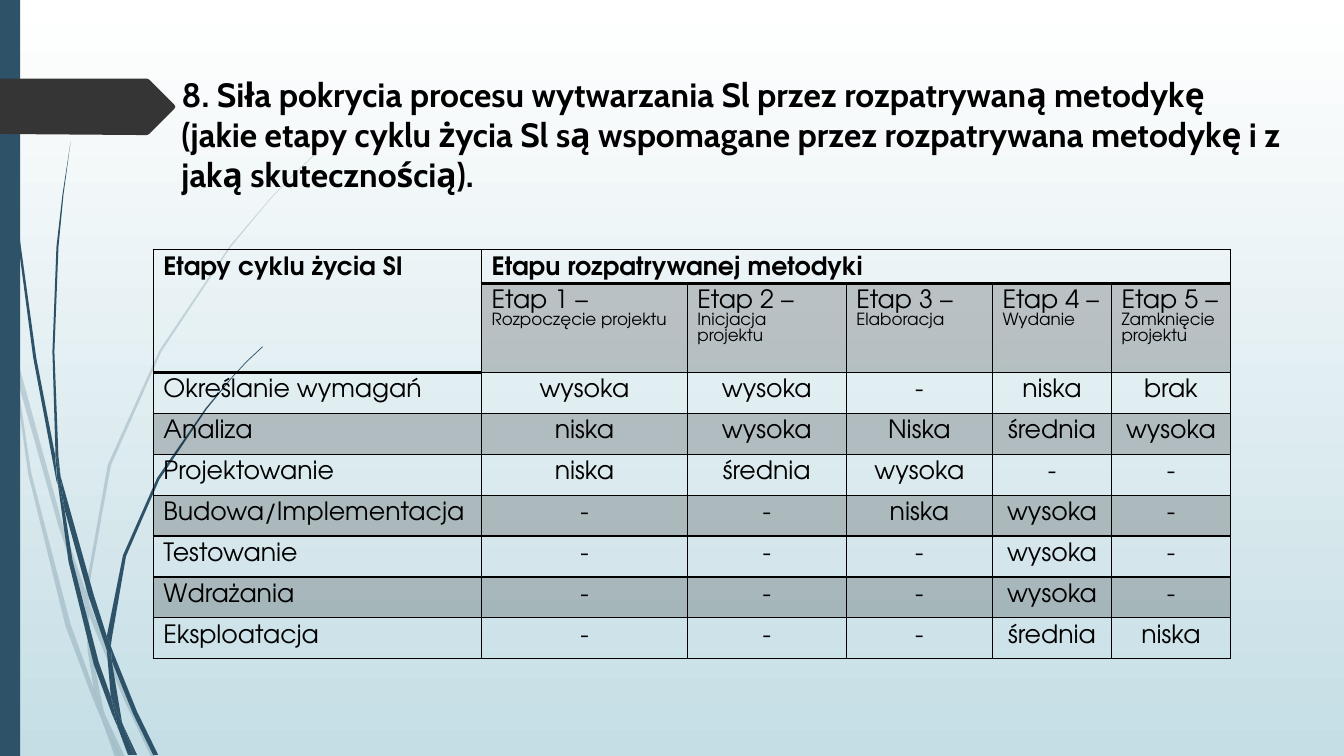
from lxml import etree
from pptx import Presentation
from pptx.dml.color import RGBColor
from pptx.enum import shapes, text
from pptx.oxml import ns
from pptx.util import Pt

BLACK = RGBColor(0x00, 0x00, 0x00)
WHITE = RGBColor(0xFF, 0xFF, 0xFF)
PALE_BLUE = RGBColor(0xC5, 0xDE, 0xE5)
NAVY = RGBColor(0x2E, 0x53, 0x69)
CHARCOAL = RGBColor(0x35, 0x35, 0x35)
TITLE_FONT, TABLE_FONT = "Cabin", "TeX Gyre Adventor"
UNIT = Pt(0.72)  # one step of the outline coordinates below

TITLE = ("8. Siła pokrycia procesu wytwarzania Sl przez rozpatrywaną metodykę "
         "(jakie etapy cyklu życia Sl są wspomagane przez rozpatrywana metodykę "
         "i z jaką skutecznością).")
STAGES = ["Rozpoczęcie projektu", "Inicjacja projektu", "Elaboracja", "Wydanie",
          "Zamknięcie projektu"]
COVERAGE = [
    ["Określanie wymagań", "wysoka", "wysoka", "-", "niska", "brak"],
    ["Analiza", "niska", "wysoka", "Niska", "średnia", "wysoka"],
    ["Projektowanie", "niska", "średnia", "wysoka", "-", "-"],
    ["Budowa/Implementacja", "-", "-", "niska", "wysoka", "-"],
    ["Testowanie", "-", "-", "-", "wysoka", "-"],
    ["Wdrażania", "-", "-", "-", "wysoka", "-"],
    ["Eksploatacja", "-", "-", "-", "średnia", "niska"],
]
COLUMN_WIDTHS = [234.5, 147, 113.5, 104.5, 85, 85]
ROW_HEIGHTS = [24, 63.5] + [29.25] * len(COVERAGE)

PALE_GRASS = [
    [(11, 350), (9, 322), (0, 282), (0, 299), (10, 344)],
    [(58, 522), (84, 599), (85, 586), (62, 520), (14, 345), (17, 376)],
    [(92, 607), (88, 596), (88, 610), (123, 694), (150, 751), (155, 751), (127, 692)],
    [(119, 751), (124, 751), (105, 711)],
    [(93, 683), (70, 619), (31, 469), (17, 376), (11, 350), (28, 470), (65, 621),
     (92, 693), (101, 714), (99, 707)],
    [(84, 599), (87, 646), (93, 683), (96, 692), (105, 711), (103, 706), (91, 646),
     (88, 610), (88, 608)],
    [(88, 584), (110, 462), (160, 349), (229, 245), (268, 198), (290, 175), (312, 154),
     (312, 153), (289, 175), (268, 197), (228, 244), (158, 348), (107, 461), (85, 584),
     (85, 586), (88, 596)],
    [(101, 714), (114, 751), (119, 751)],
    [(88, 608), (88, 610), (88, 596), (85, 586), (84, 599)],
    [(96, 692), (93, 683), (99, 707), (101, 714), (119, 751), (105, 711)],
]
DARK_GRASS = [
    [(7, 110), (17, 233), (33, 355), (56, 477), (57, 481), (55, 457), (55, 453),
     (36, 355), (19, 232), (8, 109), (5, 48), (4, 0), (3, 0), (4, 48)],
    [(88, 592), (106, 645), (106, 633), (106, 631), (93, 590), (60, 472), (64, 505)],
    [(113, 649), (110, 641), (111, 656), (132, 708), (152, 749), (157, 749), (136, 706)],
    [(110, 691), (98, 657), (72, 556), (64, 505), (57, 477), (68, 557), (93, 659),
     (111, 708), (117, 722), (116, 717)],
    [(60, 472), (58, 453), (54, 349), (58, 245), (63, 193), (70, 141), (62, 193),
     (56, 245), (52, 349), (55, 449)],
    [(133, 749), (136, 749), (122, 719)],
    [(57, 477), (64, 505), (60, 472), (55, 449), (55, 453)],
    [(111, 633), (125, 552), (158, 476), (205, 406), (231, 374), (245, 359), (261, 344),
     (260, 344), (245, 358), (231, 373), (204, 405), (156, 474), (122, 551), (106, 631),
     (110, 641)],
    [(117, 722), (127, 749), (131, 749)],
    [(106, 645), (110, 691), (116, 706), (122, 719), (121, 716), (111, 656), (109, 651)],
    [(106, 645), (109, 651), (111, 656), (110, 641), (106, 631), (106, 633)],
    [(116, 706), (110, 691), (116, 717), (117, 722), (130, 749), (133, 749), (122, 719)],
]
TITLE_MARKER = [(173, 108), (148, 133), (146, 134), (136, 134), (0, 133), (0, 78),
                (146, 78), (148, 79), (173, 104), (174, 106)]


def set_all(target, values):
    for name, value in values.items():
        setattr(target, name, value)


def paint(fill, color, opacity=100):
    fill.solid()
    fill.fore_color.rgb = color
    return opacity


def set_opacity(element, percent):
    color = next(element.iter(ns.qn("a:srgbClr")))
    etree.SubElement(color, ns.qn("a:alpha"), val=str(percent * 1000))


def format_shape(shape, color, opacity=100):
    paint(shape.fill, color)
    if opacity < 100:
        set_opacity(shape.element, opacity)
    shape.line.fill.background()
    shape.shadow.inherit = False


def add_outline(container, points, color, opacity=100):
    builder = container.build_freeform(*points[0], scale=UNIT)
    builder.add_line_segments(points[1:], close=True)
    format_shape(builder.convert_to_shape(), color, opacity)


def add_grass(slide, blades, opacity):
    group = slide.shapes.add_group_shape()
    for blade in blades:
        add_outline(group.shapes, blade, NAVY, opacity)


def set_background(slide):
    fill = slide.background.fill
    fill.gradient()
    fill.gradient_angle = 270
    for stop, color in zip(fill.gradient_stops, (WHITE, PALE_BLUE)):
        stop.color.rgb = color


def add_run(paragraph, wording, font, size, bold=False):
    run = paragraph.add_run()
    run.text = wording
    set_all(run.font, {"name": font, "size": Pt(size), "bold": bold})
    run.font.color.rgb = BLACK


def place_title(slide):
    title = slide.shapes.title
    set_all(title, {"left": Pt(122.4), "top": Pt(49), "width": Pt(804.5),
                    "height": Pt(101)})
    set_all(title.text_frame, {"word_wrap": True, "auto_size": text.MSO_AUTO_SIZE.NONE,
                               "vertical_anchor": text.MSO_ANCHOR.TOP})
    paragraph = title.text_frame.paragraphs[0]
    paragraph.alignment = text.PP_ALIGN.LEFT
    add_run(paragraph, TITLE, TITLE_FONT, 24, bold=True)
    title.element.getparent().append(title.element)  # bring in front of the grass


def format_cell(cell, shaded, bottom_width):
    if shaded:
        paint(cell.fill, BLACK)
    else:
        cell.fill.background()
    properties = cell._tc.get_or_add_tcPr()
    if shaded:
        set_opacity(properties, 20)
    for index, side in enumerate("LRTB"):
        width = bottom_width if side == "B" else 1
        line = etree.Element(ns.qn(f"a:ln{side}"), w=str(Pt(width)))
        fill = etree.SubElement(line, ns.qn("a:solidFill"))
        etree.SubElement(fill, ns.qn("a:srgbClr"), val=str(BLACK))
        properties.insert(index, line)


def write_cell(cell, runs, centered=False, bold=False, line_height=18, top=3.6):
    """Write (wording, size) runs with a fixed line height."""
    set_all(cell, {"margin_top": Pt(top), "margin_bottom": Pt(0),
                   "vertical_anchor": text.MSO_ANCHOR.TOP})
    paragraph = cell.text_frame.paragraphs[0]
    paragraph.line_spacing = Pt(line_height)
    paragraph.alignment = text.PP_ALIGN.CENTER if centered else text.PP_ALIGN.LEFT
    for wording, size in runs:
        add_run(paragraph, wording, TABLE_FONT, size, bold)


def add_coverage_table(slide):
    frame = slide.shapes.add_table(
        len(ROW_HEIGHTS), len(COLUMN_WIDTHS), Pt(109.5), Pt(178.5),
        Pt(sum(COLUMN_WIDTHS)), Pt(sum(ROW_HEIGHTS)))
    table = frame.table
    set_all(table, {"first_row": False, "horz_banding": False})
    for column, width in zip(table.columns, COLUMN_WIDTHS):
        column.width = Pt(width)
    for row_index, (row, height) in enumerate(zip(table.rows, ROW_HEIGHTS)):
        row.height = Pt(height)
        for column_index, cell in enumerate(row.cells):
            shaded = row_index % 2 == 1 and (row_index, column_index) != (1, 0)
            thick = row_index == 0 or (row_index, column_index) == (1, 0)
            format_cell(cell, shaded, 2 if thick else 1)

    table.cell(0, 0).merge(table.cell(1, 0))
    table.cell(0, 1).merge(table.cell(0, len(STAGES)))
    write_cell(table.cell(0, 0), [("Etapy cyklu życia SI", 18)], bold=True)
    write_cell(table.cell(0, 1), [("Etapu rozpatrywanej metodyki", 18)], bold=True)
    for number, stage in enumerate(STAGES, start=1):
        write_cell(table.cell(1, number), [(f"Etap {number} – ", 18), (stage, 12)],
                   line_height=11, top=10.5)
    for row_index, values in enumerate(COVERAGE, start=2):
        for column_index, value in enumerate(values):
            write_cell(table.cell(row_index, column_index), [(value, 18)],
                       centered=column_index > 0)


def main():
    presentation = Presentation()
    set_all(presentation, {"slide_width": Pt(960), "slide_height": Pt(540)})
    slide = presentation.slides.add_slide(presentation.slide_layouts[5])
    set_background(slide)
    add_grass(slide, PALE_GRASS, 20)
    add_grass(slide, DARK_GRASS, 100)
    side_bar = slide.shapes.add_shape(
        shapes.MSO_SHAPE.RECTANGLE, Pt(0), Pt(0), Pt(14.4), Pt(540))
    format_shape(side_bar, NAVY)
    add_outline(slide.shapes, TITLE_MARKER, CHARCOAL)
    place_title(slide)
    add_coverage_table(slide)
    presentation.save("out.pptx")


if __name__ == "__main__":
    main()
